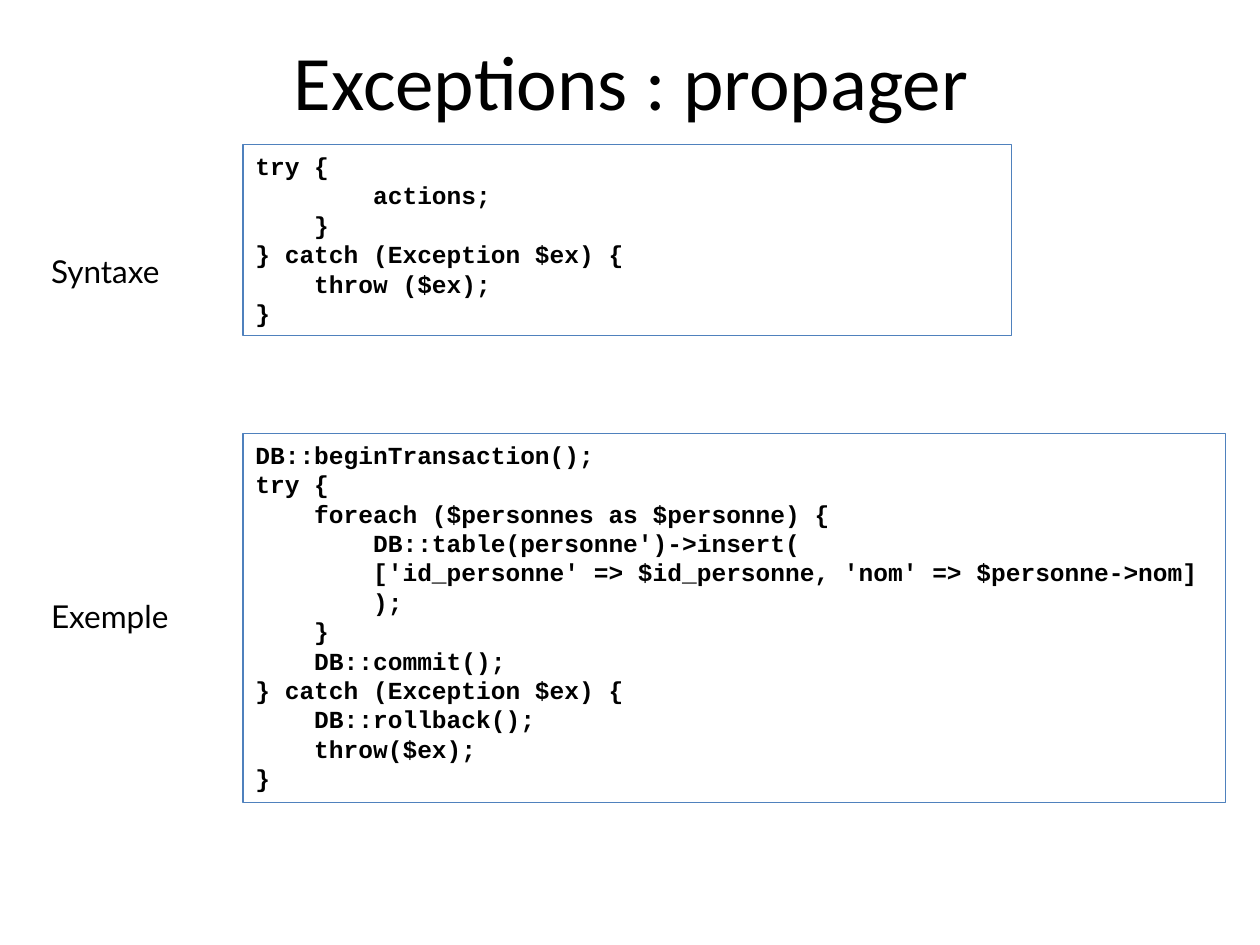
from dataclasses import dataclass

from pptx import Presentation
from pptx.dml.color import RGBColor as RGB
from pptx.enum.shapes import MSO_SHAPE as Shape
from pptx.enum.text import MSO_ANCHOR as Anchor, MSO_AUTO_SIZE as Fit, PP_ALIGN as Align
from pptx.util import Cm, Pt


@dataclass
class Theme:
    ink = RGB(0x00, 0x00, 0x00)
    edge = RGB(0x4F, 0x81, 0xBD)
    head = ("Calibri", Pt(44))
    label = ("Lato", Pt(18))
    code = ("Courier New", Pt(14))
    line = Pt(0.75)


def style(frame, face, align=Align.LEFT, bold=False):
    """Format every run of a text frame."""
    for para in frame.paragraphs:
        para.alignment = align
        for run in para.runs:
            run.font.name, run.font.size = face
            run.font.bold = bold
            run.font.color.rgb = Theme.ink


syntax = """try {
        actions;
    }
} catch (Exception $ex) {
    throw ($ex);
}"""

sample = """DB::beginTransaction();
try {
    foreach ($personnes as $personne) {
        DB::table(personne')->insert(
        ['id_personne' => $id_personne, 'nom' => $personne->nom]
        );
    }
    DB::commit();
} catch (Exception $ex) {
    DB::rollback();
    throw($ex);
}"""

# Label, its top and width, then the code with its top, width and height (cm)
parts = [
    ("Syntaxe", 4.95, 2.74, syntax, 2.92, 15.49, 3.84),
    ("Exemple", 11.91, 2.92, sample, 8.74, 19.81, 7.44),
]

deck = Presentation()
deck.slide_width, deck.slide_height = Cm(25.4), Cm(19.05)
slide = deck.slides.add_slide(deck.slide_layouts[5])

# Title
title = slide.shapes.title
title.left, title.top, title.width, title.height = Cm(1.3), Cm(0.53), Cm(22.86), Cm(2.16)
title.text_frame.text = "Exceptions : propager"
title.text_frame.vertical_anchor = Anchor.MIDDLE
style(title.text_frame, Theme.head, Align.CENTER)

for name, name_top, name_width, code, top, width, height in parts:
    # Code box
    box = slide.shapes.add_shape(Shape.RECTANGLE, Cm(4.9), Cm(top), Cm(width), Cm(height))
    box.shadow.inherit = False
    box.fill.background()
    box.line.color.rgb = Theme.edge
    box.line.width = Theme.line
    frame = box.text_frame
    frame.text = code
    frame.word_wrap = True
    frame.auto_size = Fit.SHAPE_TO_FIT_TEXT
    frame.vertical_anchor = Anchor.TOP
    style(frame, Theme.code, bold=True)

    # Label on the left
    label = slide.shapes.add_textbox(Cm(0.78), Cm(name_top), Cm(name_width), Cm(1.02))
    label.text_frame.text = name
    label.text_frame.word_wrap = False
    label.text_frame.auto_size = Fit.SHAPE_TO_FIT_TEXT
    style(label.text_frame, Theme.label)

deck.save("out.pptx")
